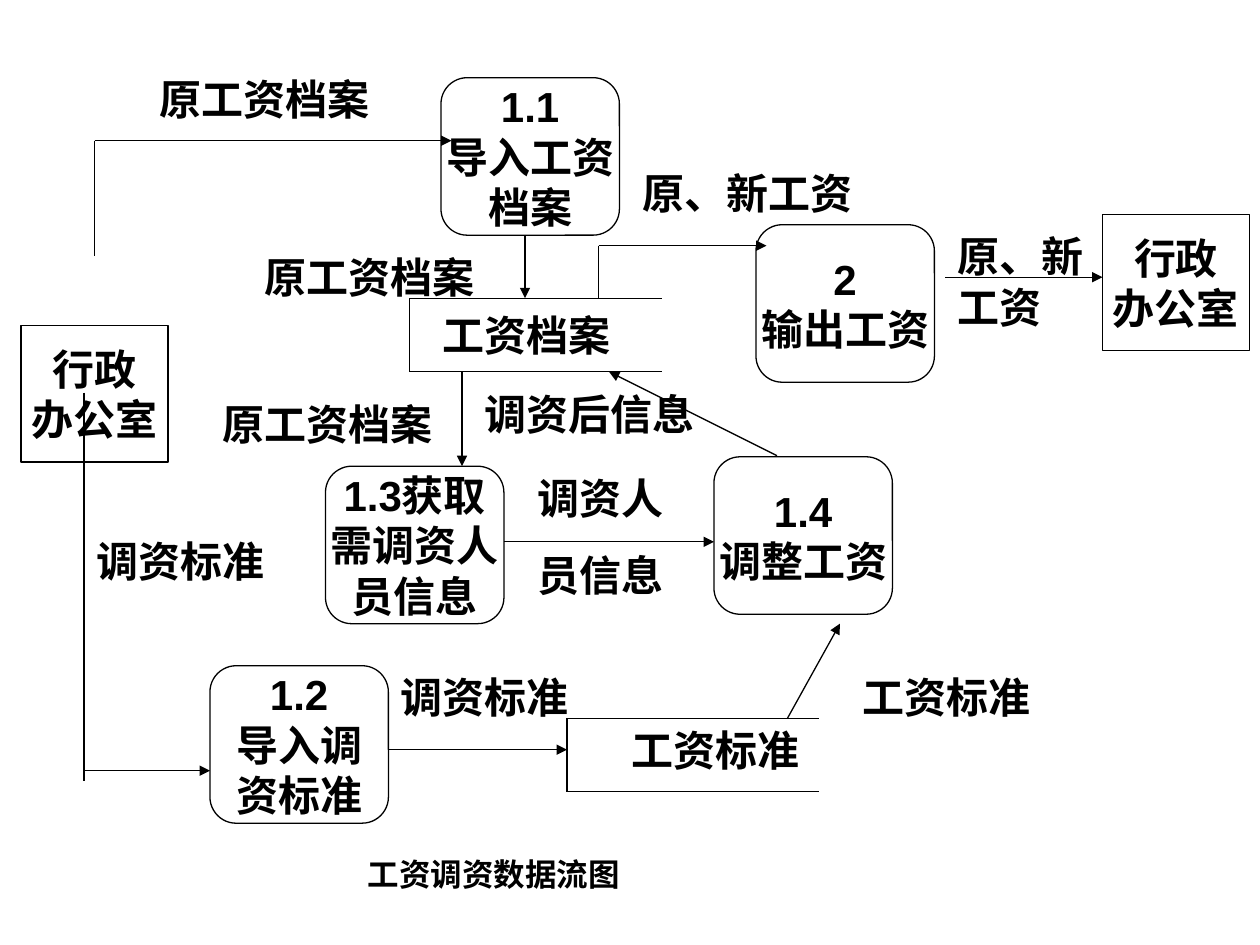
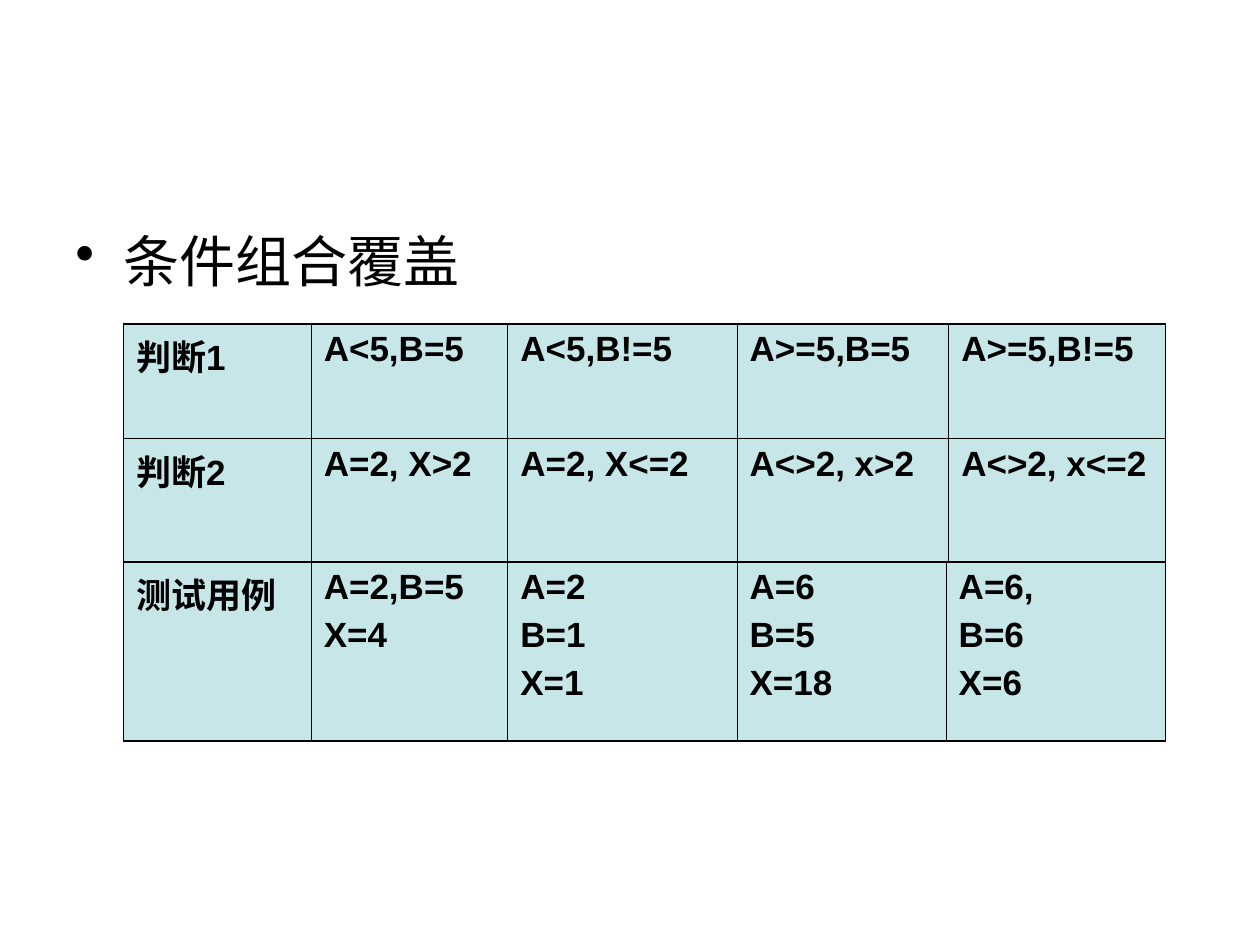
"""Build a payroll data flow diagram and a condition combination coverage table."""
from dataclasses import dataclass

from lxml.etree import SubElement
from pptx import Presentation
from pptx.dml.color import RGBColor as RGB
from pptx.enum.shapes import MSO_CONNECTOR as CONN, MSO_SHAPE as SHAPE
from pptx.enum.text import MSO_ANCHOR as ANCHOR, MSO_AUTO_SIZE as AUTO, PP_ALIGN as ALIGN
from pptx.oxml.ns import qn
from pptx.util import Inches, Pt


@dataclass(frozen=True)
class Theme:
    font: str = "Arial"
    ink: RGB = RGB(0, 0, 0)
    paper: RGB = RGB(255, 255, 255)
    cell: RGB = RGB(0xC6, 0xE6, 0xE8)
    caption: int = 18
    table: int = 20
    label: int = 24
    bullet: int = 32
    line: float = 0.74
    inner: float = 0.45
    outer: float = 1.08


T = Theme()
WIDTH, HEIGHT = 10, 7.5
UNIT = WIDTH / 120
ROW_SHIFT = 0.4

OFFICE = ["行政", "办公室"]
OFFICE_SIZE, PROCESS_SIZE, STORE_SIZE = (14, 13), (17, 15), (24, 7)
OFFICES = [(2, 30.6), (105, 20)]
PROCESSES = [
    (42, 7, ["1.1", "导入工资", "档案"]),
    (72, 21, ["2", "输出工资"]),
    (31, 44, ["1.3获取", "需调资人", "员信息"]),
    (20, 63, ["1.2", "导入调", "资标准"]),
    (68, 43.1, ["1.4", "调整工资"]),
]
STORES = [(39, 28), (54, 68)]
ARROWS = [
    (90, 26, 105, 26), (44, 35, 44, 44), (9, 13, 43, 13), (50, 22, 50, 28),
    (8, 73, 20, 73), (37, 71, 54, 71), (57, 23, 73, 23), (48, 51.2, 68, 51.2),
    (75, 68, 80, 59), (74, 43, 58, 35),
]
PLAIN_LINES = [(9, 13, 9, 24), (8, 37, 8, 74), (57, 23, 57, 28)]
LABELS = [
    (14, 6, 24, ["原工资档案"]),
    (90, 21, 18, ["原、新工资"]),
    (41, 28.5, 24, ["工资档案"]),
    (45, 36, 23, ["调资后信息"]),
    (8, 50, 24, ["调资标准"]),
    (59, 68, 24, ["工资标准"]),
    (60, 15, 24, ["原、新工资"]),
    (24, 23, 24, ["原工资档案"]),
    (81, 63, 24, ["工资标准"]),
    (37, 63, 24, ["调资标准"]),
    (20, 37, 24, ["原工资档案"]),
    (50, 44, 15, ["调资人", "员信息"]),
]
CAPTION = "工资调资数据流图"

HEADING = "条件组合覆盖"
TABLE_LEFT, TABLE_TOP = 0.98, 2.57
TABLES = [
    dict(cols=[1.49, 1.56, 1.82, 1.68, 1.72], rows=[0.91, 0.98], cells=[
        ["判断1", "A<5,B=5", "A<5,B!=5", "A>=5,B=5", "A>=5,B!=5"],
        ["判断2", "A=2, X>2", "A=2, X<=2", "A<>2, x>2", "A<>2, x<=2"],
    ]),
    dict(cols=[1.49, 1.56, 1.82, 1.66, 1.74], rows=[1.42], cells=[
        ["测试用例", "A=2,B=5\nX=4", "A=2\nB=1\nX=1", "A=6\nB=5\nX=18", "A=6,\nB=6\nX=6"],
    ]),
]


def write(tf, lines, size=T.label, bold=True, align=ALIGN.LEFT, before=0,
          indent=0, hang=0, bullet=None):
    for i, line in enumerate(lines):
        p = tf.paragraphs[0] if i == 0 else tf.add_paragraph()
        p.alignment, p.space_before = align, Pt(before)
        pPr = p._p.get_or_add_pPr()
        pPr.set("marL", str(Inches(indent)))
        pPr.set("indent", str(Inches(-hang)))
        if bullet:
            SubElement(pPr, qn("a:buChar"), char=bullet)
        r = p.add_run()
        r.text = line
        r.font.name, r.font.size, r.font.bold = T.font, Pt(size), bold
        r.font.color.rgb = T.ink


def grid(col, row):
    return Inches(col * UNIT), Inches((row + ROW_SHIFT) * UNIT)


def size_of(cols, rows):
    return Inches(cols * UNIT), Inches(rows * UNIT)


def add_text(s, box, lines, grow=True, **fmt):
    tf = s.shapes.add_textbox(*box).text_frame
    tf.word_wrap = True
    tf.auto_size = AUTO.SHAPE_TO_FIT_TEXT if grow else AUTO.NONE
    write(tf, lines, **fmt)


def add_box(s, kind, col, row, size, lines):
    sp = s.shapes.add_shape(kind, *grid(col, row), *size_of(*size))
    sp.shadow.inherit = False
    sp.fill.solid()
    sp.fill.fore_color.rgb = T.paper
    sp.line.color.rgb, sp.line.width = T.ink, Pt(T.line)
    tf = sp.text_frame
    tf.word_wrap, tf.vertical_anchor = False, ANCHOR.MIDDLE
    write(tf, lines, align=ALIGN.CENTER)


def add_line(s, x1, y1, x2, y2, arrow=False):
    c = s.shapes.add_connector(CONN.STRAIGHT, *grid(x1, y1), *grid(x2, y2))
    c.line.color.rgb, c.line.width = T.ink, Pt(T.line)
    if arrow:
        SubElement(c.line._get_or_add_ln(), qn("a:tailEnd"), type="triangle")
    SubElement(c._element.spPr, qn("a:effectLst"))


def add_store(s, col, row):
    w, h = STORE_SIZE
    add_line(s, col, row, col + w, row)
    add_line(s, col, row, col, row + h)
    add_line(s, col, row + h, col + w, row + h)


def set_border(cell, side, width):
    ln = SubElement(cell._tc.get_or_add_tcPr(), qn("a:ln" + side), w=str(Pt(width)))
    SubElement(SubElement(ln, qn("a:solidFill")), qn("a:srgbClr"), val=str(T.ink))


def add_grid_table(s, top, cols, rows, cells):
    table = s.shapes.add_table(len(rows), len(cols), Inches(TABLE_LEFT), Inches(top),
                               Inches(sum(cols)), Inches(sum(rows))).table
    table.first_row = table.horz_banding = False
    for c, width in enumerate(cols):
        table.columns[c].width = Inches(width)
    for r, height in enumerate(rows):
        table.rows[r].height = Inches(height)
        for c, text in enumerate(cells[r]):
            cell = table.cell(r, c)
            edges = dict(L=c == 0, R=c == len(cols) - 1, T=r == 0, B=r == len(rows) - 1)
            for side, is_outer in edges.items():
                set_border(cell, side, T.outer if is_outer else T.inner)
            cell.fill.solid()
            cell.fill.fore_color.rgb = T.cell
            write(cell.text_frame, text.split("\n"), size=T.table, before=5)


def build_flow(s):
    for col, row in OFFICES:
        add_box(s, SHAPE.RECTANGLE, col, row, OFFICE_SIZE, OFFICE)
    for col, row, lines in PROCESSES:
        add_box(s, SHAPE.ROUNDED_RECTANGLE, col, row, PROCESS_SIZE, lines)
    for store in STORES:
        add_store(s, *store)
    for line in PLAIN_LINES:
        add_line(s, *line)
    for line in ARROWS:
        add_line(s, *line, arrow=True)
    for col, row, width, lines in LABELS:
        add_text(s, (*grid(col, row), *size_of(width, 6)), lines, before=15)
    add_text(s, [Inches(v) for v in (2.64, 6.74, 3.9, 0.4)], [CAPTION],
             size=T.caption, indent=0.18)


def build_coverage(s):
    add_text(s, [Inches(v) for v in (0.5, 1.75, 9, 4.95)], [HEADING], grow=False,
             size=T.bullet, bold=False, before=8, indent=0.38, hang=0.38, bullet="•")
    top = TABLE_TOP
    for table in TABLES:
        add_grid_table(s, top, **table)
        top += sum(table["rows"])


prs = Presentation()
prs.slide_width, prs.slide_height = Inches(WIDTH), Inches(HEIGHT)
for build in (build_flow, build_coverage):
    build(prs.slides.add_slide(prs.slide_layouts[6]))
prs.save("out.pptx")
